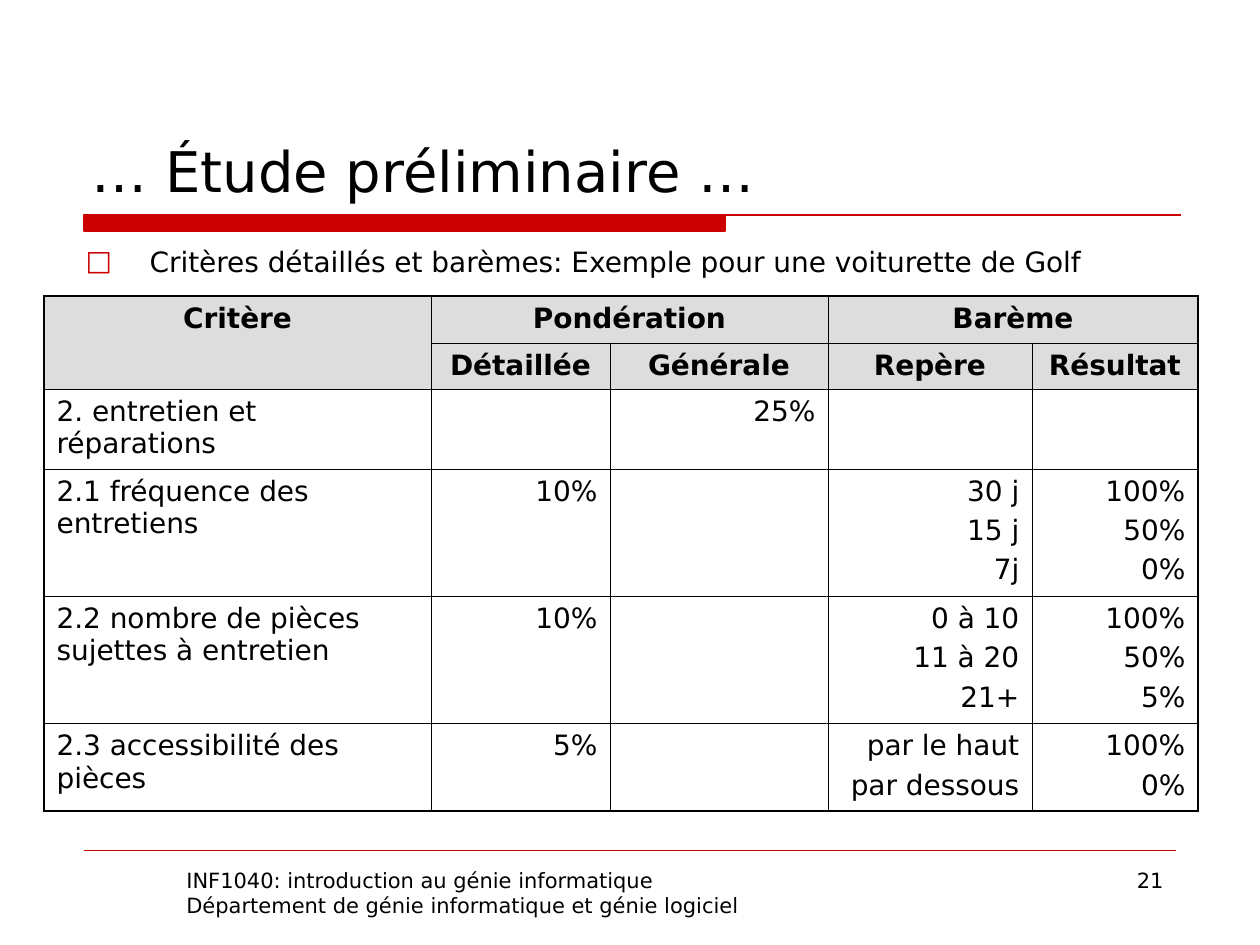
from lxml import etree
from pptx import Presentation
from pptx.dml.color import RGBColor
from pptx.enum.shapes import MSO_CONNECTOR
from pptx.enum.text import MSO_ANCHOR, MSO_AUTO_SIZE, PP_ALIGN
from pptx.oxml.ns import qn
from pptx.util import Pt

LEFT, CENTER, RIGHT = PP_ALIGN.LEFT, PP_ALIGN.CENTER, PP_ALIGN.RIGHT
BOTTOM, TOP = MSO_ANCHOR.BOTTOM, MSO_ANCHOR.TOP
NO_FIT, STRAIGHT = MSO_AUTO_SIZE.NONE, MSO_CONNECTOR.STRAIGHT
PX = 914400 / 126  # EMU per px

THEME = {
    "font": "DejaVu Sans",
    "text": RGBColor(0x00, 0x00, 0x00),
    "accent": RGBColor(0xCC, 0x00, 0x00),
    "header": RGBColor(0xDD, 0xDD, 0xDD),
    "title": Pt(32),
    "body": Pt(16),
    "footer": Pt(12),
    "gap": Pt(4),
    "thin": Pt(0.45),
    "thick": Pt(1.08),
}


def px(*values):
    return [round(v * PX) for v in values]


def write(tf, lines, size, align=LEFT, bold=False, gap=0):
    for i, line in enumerate(lines):
        p = tf.add_paragraph() if i else tf.paragraphs[0]
        p.alignment = align
        p.space_before = gap
        r = p.add_run()
        r.text = line
        r.font.name = THEME["font"]
        r.font.size = size
        r.font.bold = bold
        r.font.color.rgb = THEME["text"]


prs = Presentation()
prs.slide_width, prs.slide_height = px(1260, 945)
s = prs.slides.add_slide(prs.slide_layouts[1])

# Title and bullet line
title, body = s.shapes.title, s.placeholders[1]
placeholders = [
    (title, (79, 42, 1103, 168), BOTTOM, "… Étude préliminaire …", THEME["title"], 0),
    (body, (73, 238, 1103, 57), TOP,
     "Critères détaillés et barèmes: Exemple pour une voiturette de Golf",
     THEME["body"], THEME["gap"]),
]
for sp, box, anchor, text, size, gap in placeholders:
    sp.left, sp.top, sp.width, sp.height = px(*box)
    tf = sp.text_frame
    tf.auto_size = NO_FIT
    tf.vertical_anchor = anchor
    write(tf, [text], size, gap=gap)

pPr = body.text_frame.paragraphs[0]._p.get_or_add_pPr()
indent = px(64)[0]
pPr.set("marL", str(indent))
pPr.set("indent", str(-indent))
color = etree.SubElement(pPr, qn("a:buClr"))
etree.SubElement(color, qn("a:srgbClr"), val=str(THEME["accent"]))
etree.SubElement(pPr, qn("a:buFont"), typeface=THEME["font"])
etree.SubElement(pPr, qn("a:buChar"), char="□")

# Title rule: a thick bar that goes on as a thin line
fb = s.shapes.build_freeform(84, 215, scale=PX)
fb.add_line_segments([(725, 215), (725, 231), (84, 231)], close=True)
fb.move_to(84, 215)
fb.add_line_segments([(1181, 215)], close=False)
rule = fb.convert_to_shape()
rule.shadow.inherit = False
rule.fill.solid()
rule.fill.fore_color.rgb = THEME["accent"]
rule.line.color.rgb = THEME["accent"]
rule.line.width = Pt(0.75)

# Footer line
line = s.shapes.add_connector(STRAIGHT, *px(84, 850, 1176, 850))
line.line.color.rgb = THEME["accent"]
line.line.width = Pt(0.25)
etree.SubElement(line._element.spPr, qn("a:effectLst"))

# Footer text and slide number
footers = [
    ((174, 861, 656, 63), LEFT,
     ["INF1040: introduction au génie informatique",
      "Département de génie informatique et génie logiciel"]),
    ((903, 861, 273, 66), RIGHT, ["21"]),
]
for box, align, lines in footers:
    tf = s.shapes.add_textbox(*px(*box)).text_frame
    tf.word_wrap = True
    write(tf, lines, THEME["footer"], align)

# Criteria table: one list item per paragraph
cols = [387, 179, 218, 204, 166]
heights = [47, 46, 79, 127, 127, 87]
rows = [
    [["Critère"], ["Pondération"], [], ["Barème"], []],
    [[], ["Détaillée"], ["Générale"], ["Repère"], ["Résultat"]],
    [["2. entretien et réparations"], [], ["25%"], [], []],
    [["2.1 fréquence des entretiens"], ["10%"], [],
     ["30 j", "15 j", "7j"], ["100%", "50%", "0%"]],
    [["2.2 nombre de pièces sujettes à entretien"], ["10%"], [],
     ["0 à 10", "11 à 20", "21+"], ["100%", "50%", "5%"]],
    [["2.3 accessibilité des pièces"], ["5%"], [],
     ["par le haut", "par dessous"], ["100%", "0%"]],
]
HEADER_ROWS = 2
frame = s.shapes.add_table(len(rows), len(cols),
                           *px(44, 296, sum(cols), sum(heights)))
table = frame.table
table.first_row = table.horz_banding = False
for column, width in zip(table.columns, cols):
    column.width = px(width)[0]
for row, height in zip(table.rows, heights):
    row.height = px(height)[0]
for first, last in [((0, 0), (1, 0)), ((0, 1), (0, 2)), ((0, 3), (0, 4))]:
    table.cell(*first).merge(table.cell(*last))

for i, row in enumerate(rows):
    for j, lines in enumerate(row):
        cell = table.cell(i, j)
        header = i < HEADER_ROWS
        if header:
            cell.fill.solid()
            cell.fill.fore_color.rgb = THEME["header"]
        else:
            cell.fill.background()
        align = CENTER if header else RIGHT if j else LEFT
        write(cell.text_frame, lines, THEME["body"], align, header, THEME["gap"])
        if cell.is_spanned:
            continue

        # Thick borders on the outer edge, thin ones inside
        right, bottom = j + 1, i + 1
        if cell.is_merge_origin:
            right, bottom = j + cell.span_width, i + cell.span_height
        outer = {"lnL": j == 0, "lnR": right == len(cols),
                 "lnT": i == 0, "lnB": bottom == len(rows)}
        tcPr = cell._tc.get_or_add_tcPr()
        for k, (side, is_outer) in enumerate(outer.items()):
            width = THEME["thick"] if is_outer else THEME["thin"]
            ln = etree.Element(qn(f"a:{side}"), w=str(width))
            fill = etree.SubElement(ln, qn("a:solidFill"))
            etree.SubElement(fill, qn("a:srgbClr"), val=str(THEME["text"]))
            tcPr.insert(k, ln)

prs.save("out.pptx")
